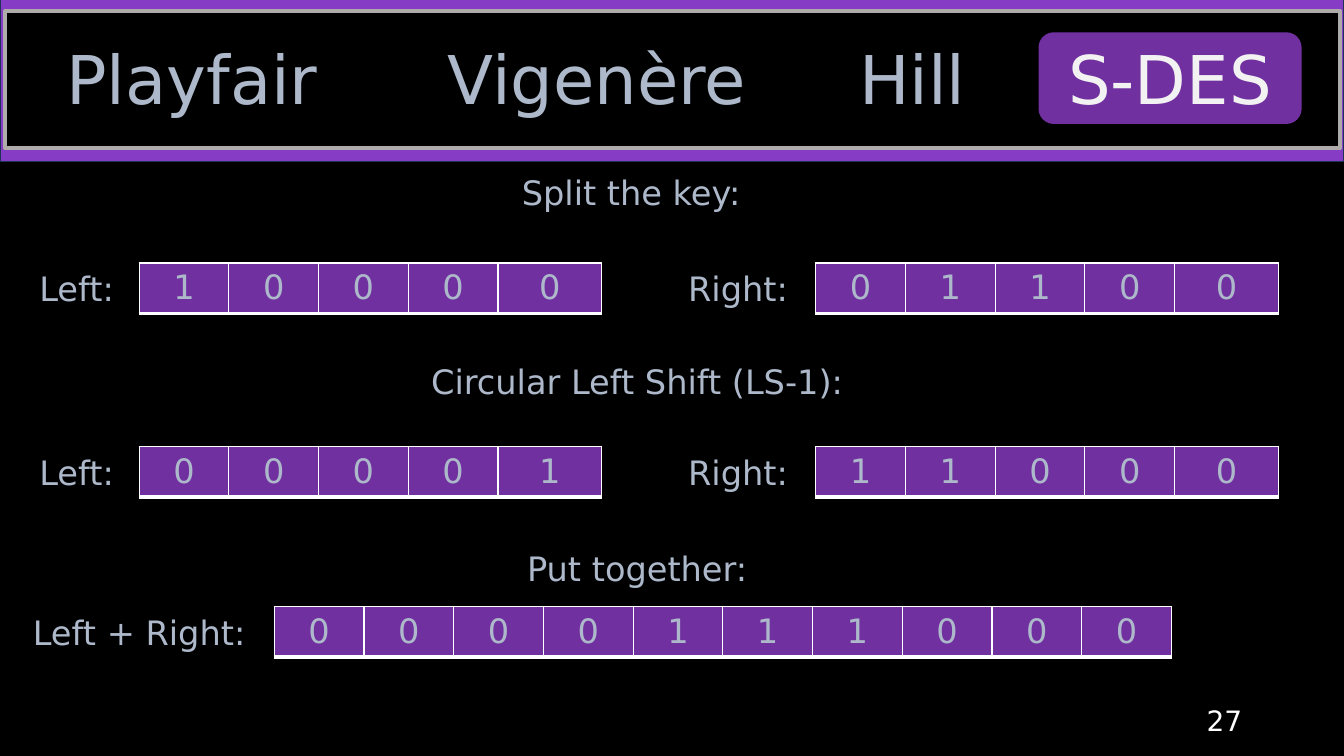
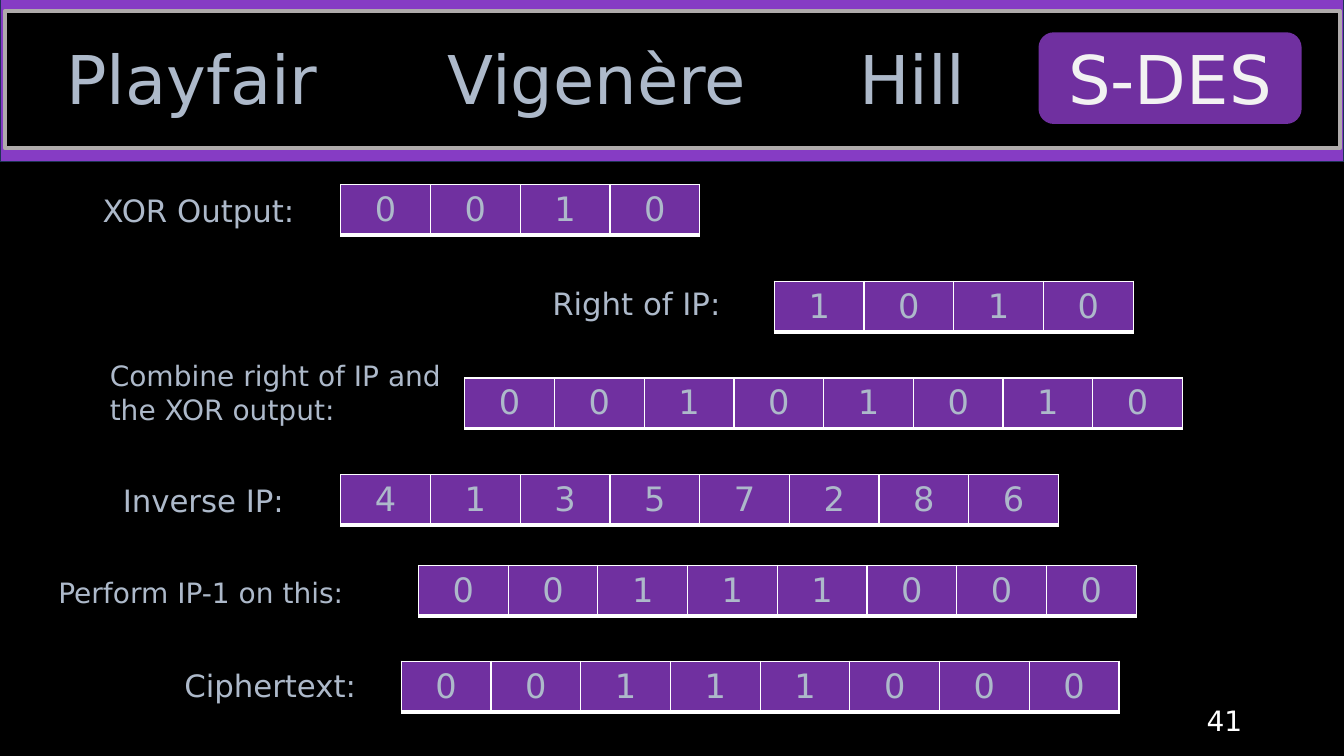
from dataclasses import dataclass

from lxml import etree
from pptx import Presentation
from pptx import util as u
from pptx.dml.color import RGBColor
from pptx.enum import shapes, text
from pptx.oxml.ns import qn


@dataclass(frozen=True)
class Theme:
    """Colours, type sizes and measures shared by the slides."""
    font: str = "DejaVu Sans"
    ground: str = "000000"
    band: str = "863CC4"
    band_edge: str = "1E3256"
    frame: str = "AFABAB"
    accent: str = "7030A0"
    body: str = "ADB9CA"
    active: str = "F2F2F2"
    white: str = "FFFFFF"
    title: int = 48
    large: int = 24
    medium: int = 22
    small: int = 20
    cell: int = 89
    last_cell: int = 103
    row: int = 50


T = Theme()
LEFT, CENTER, RIGHT = text.PP_ALIGN.LEFT, text.PP_ALIGN.CENTER, text.PP_ALIGN.RIGHT
MIDDLE = text.MSO_ANCHOR.MIDDLE
RECT, ROUNDED = shapes.MSO_SHAPE.RECTANGLE, shapes.MSO_SHAPE.ROUNDED_RECTANGLE
HEADER = (0, -2, 1333, 162)
TABS = [("Vigenère", 405, 374), ("Playfair", 24, 333), ("Hill", 827, 156), ("S-DES", 1030, 261)]
ACTIVE_TAB = "S-DES"
BORDERS = {"a:lnL": 1, "a:lnR": 1, "a:lnT": 1, "a:lnB": 3}


def px(n):
    """Turn a length in px, 100 to the inch, into EMU."""
    return u.Emu(n * 9144)


def write(tf, words, size, color=T.body, align=CENTER):
    """Fill the first paragraph of a text frame."""
    p = tf.paragraphs[0]
    p.alignment = align
    r = p.add_run()
    r.text = words
    for name, value in {"name": T.font, "size": u.Pt(size)}.items():
        setattr(r.font, name, value)
    r.font.color.rgb = RGBColor.from_string(color)


def add_text(parent, box, words, size, color=T.body, align=CENTER, anchor=text.MSO_ANCHOR.TOP):
    """Add a wrapping text box."""
    tf = parent.shapes.add_textbox(*map(px, box)).text_frame
    for name, value in {"word_wrap": True, "vertical_anchor": anchor}.items():
        setattr(tf, name, value)
    write(tf, words, size, color, align)


def add_box(s, kind, box, fill, edge=None, weight=1):
    """Add a filled shape, outlined when an edge colour is given."""
    sp = s.shapes.add_shape(kind, *map(px, box))
    sp.shadow.inherit = False
    sp.fill.solid()
    sp.fill.fore_color.rgb = RGBColor.from_string(fill)
    if edge:
        sp.line.color.rgb = RGBColor.from_string(edge)
        sp.line.width = u.Pt(weight)
    else:
        sp.line.fill.background()


def add_header(s, box):
    """Draw the banner with its cipher tabs."""
    x, y, w, h = box
    add_box(s, RECT, box, T.band, T.band_edge)
    add_box(s, RECT, (x + 5, y + 13, w - 9, h - 26), T.ground, T.frame, 3)
    tabs = {name: (x + left, y + 34, width, 91) for name, left, width in TABS}
    add_box(s, ROUNDED, tabs[ACTIVE_TAB], T.accent)
    group = s.shapes.add_group_shape()
    for name, tab in tabs.items():
        add_text(group, tab, name, T.title, T.active if name == ACTIVE_TAB else T.body)


def style_cell(cell):
    """Give a cell its borders, fill and anchor."""
    tc_pr = cell._tc.get_or_add_tcPr()
    for tag, weight in BORDERS.items():
        ln = etree.SubElement(tc_pr, qn(tag), w=str(u.Pt(weight)))
        fill = etree.SubElement(ln, qn("a:solidFill"))
        etree.SubElement(fill, qn("a:srgbClr"), val=T.white)
    cell.fill.solid()
    cell.fill.fore_color.rgb = RGBColor.from_string(T.accent)
    cell.vertical_anchor = MIDDLE


def add_register(s, at, digits, last=T.cell):
    """Draw one row of digits as a table."""
    widths = [T.cell] * (len(digits) - 1) + [last]
    box = (*at, sum(widths), T.row)
    table = s.shapes.add_table(1, len(digits), *map(px, box)).table
    for name in ("first_row", "horz_banding"):
        setattr(table, name, False)
    for i, (digit, width) in enumerate(zip(digits, widths)):
        table.columns[i].width = px(width)
        cell = table.cell(0, i)
        style_cell(cell)
        write(cell.text_frame, digit, T.large)


def add_labelled_register(s, at, digits, label, lead, drop=0, size=T.large, align=CENTER, last=T.cell):
    """Draw a register with a label filling the lead to its left."""
    x, y = at
    add_text(s, (x - lead, y + drop, lead, T.row), label, size, align=align)
    add_register(s, at, digits, last)


def add_halves(s, at, left, right):
    """Draw the left and right key halves side by side."""
    x, y = at
    halves = [(x, left, "Left:", 124), (x + 671, right, "Right:", 154)]
    for start, digits, label, lead in halves:
        add_labelled_register(s, (start, y), digits, label, lead, last=T.last_cell)


def add_base(prs, number):
    """Start a slide with background, header and page number."""
    s = prs.slides.add_slide(prs.slide_layouts[6])
    s.background.fill.solid()
    s.background.fill.fore_color.rgb = RGBColor.from_string(T.ground)
    add_header(s, HEADER)
    add_text(s, (942, 695, 300, 40), number, T.small, T.white, RIGHT, MIDDLE)
    return s


def build_key_shift(prs):
    """Build the slide on splitting and shifting the key."""
    s = add_base(prs, "27")
    headings = [("Split the key:", 626, 166), ("Circular Left Shift (LS-1):", 632, 353),
                ("Put together:", 632, 539)]
    for words, middle, y in headings:
        add_text(s, (middle - 257, y, 514, T.row), words, T.large)
    add_halves(s, (138, 261), "10000", "01100")
    add_halves(s, (138, 443), "00001", "11000")
    add_labelled_register(s, (272, 602), "0000111000", "Left + Right:", 268)


def build_ciphertext(prs):
    """Build the slide that leads to the ciphertext."""
    s = add_base(prs, "41")
    rows = [
        ((338, 183), "0010", "XOR Output:", 246, 2, T.medium),
        ((768, 279), "1010", "Right of IP:", 230, -1, T.medium),
        ((461, 375), "00101010", "Combine right of IP and the XOR output:", 362, -24, T.small),
        ((338, 471), "41357286", "Inverse IP:", 226, 2, T.medium),
        ((415, 561), "00111000", "Perform IP-1 on this:", 367, 5, T.small),
        ((398, 656), "00111000", "Ciphertext:", 225, 1, T.medium),
    ]
    for row in rows:
        add_labelled_register(s, *row, align=LEFT)


def main():
    """Build and save the presentation."""
    prs = Presentation()
    prs.slide_width, prs.slide_height = px(1333), px(750)
    build_key_shift(prs)
    build_ciphertext(prs)
    prs.save("out.pptx")


if __name__ == "__main__":
    main()
